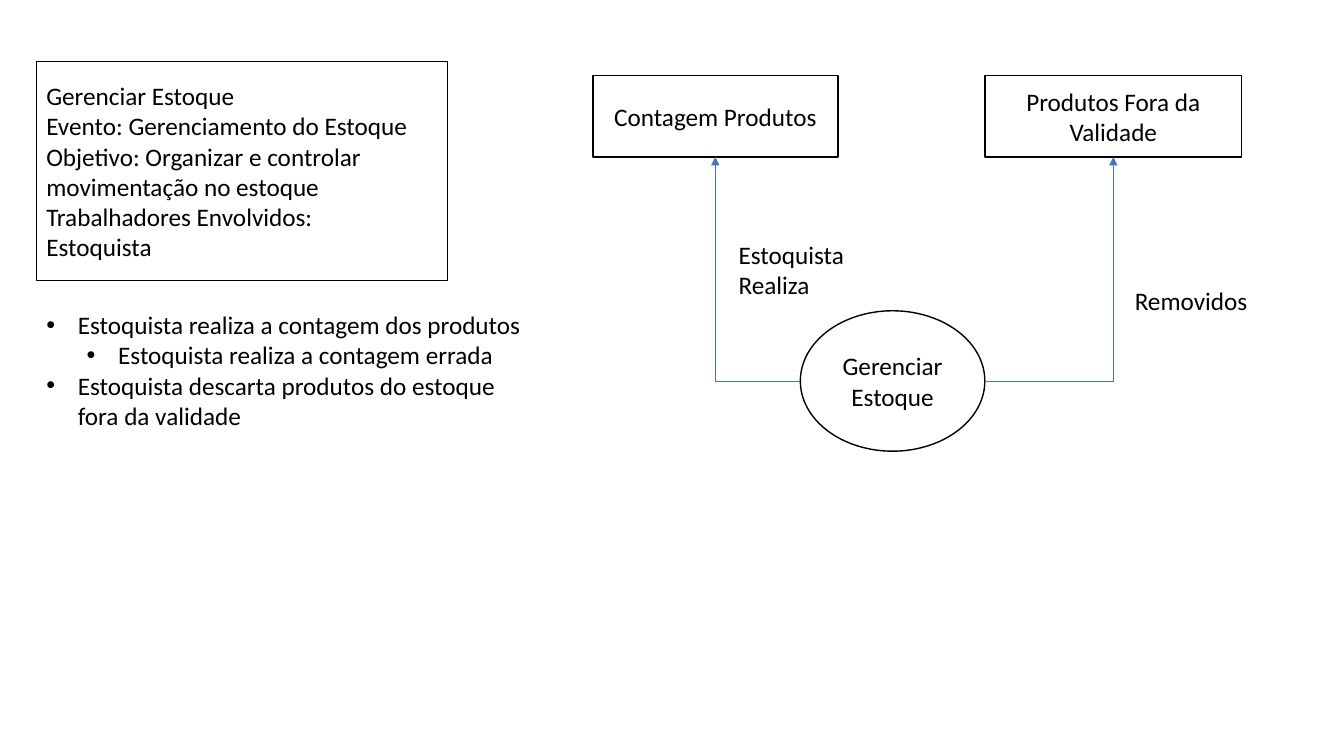
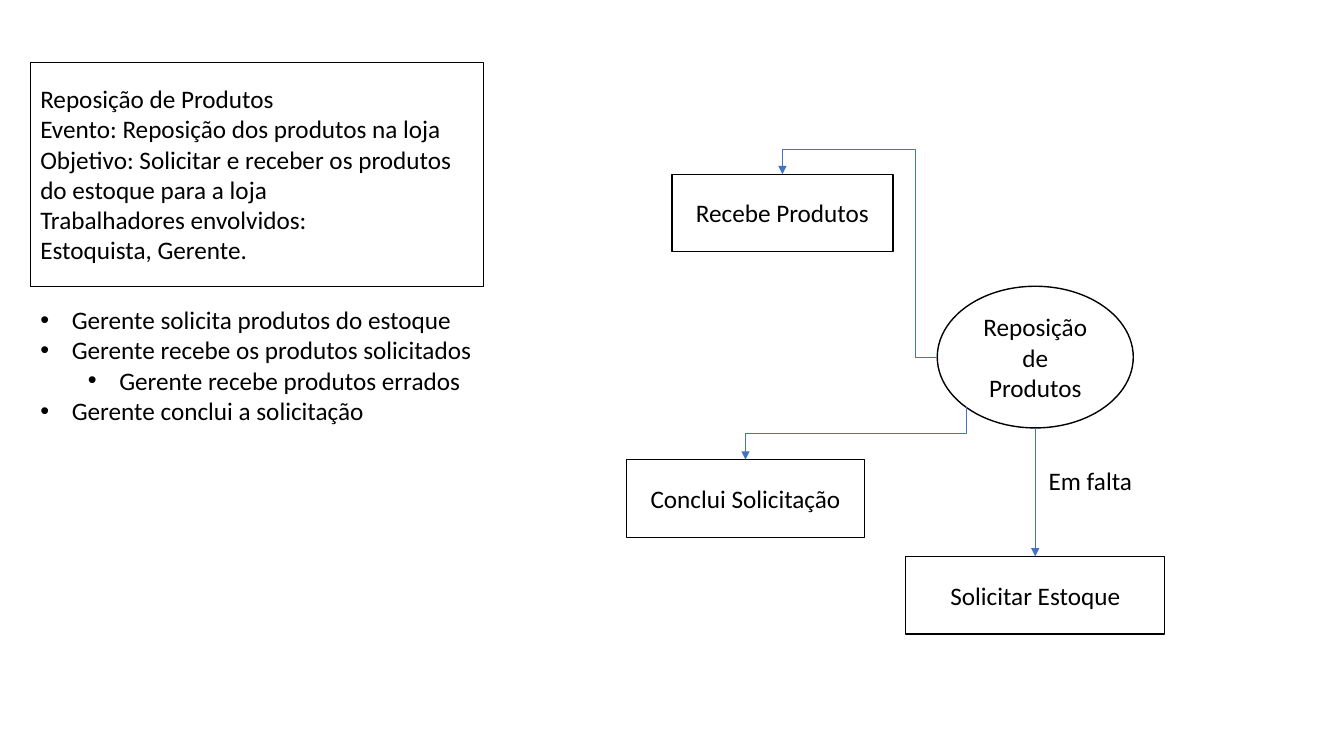
from dataclasses import dataclass
from math import sqrt

from pptx import Presentation
from pptx.dml.color import RGBColor
from pptx.enum.shapes import MSO_CONNECTOR as Link, MSO_SHAPE as Preset
from pptx.enum.text import MSO_ANCHOR as Anchor, PP_ALIGN as Align
from pptx.oxml.ns import qn
from pptx.oxml.xmlchemy import OxmlElement
from pptx.util import Pt


@dataclass(frozen=True)
class Theme:
    ink: RGBColor = RGBColor(0, 0, 0)
    paper: RGBColor = RGBColor(255, 255, 255)
    arrow: RGBColor = RGBColor(0x44, 0x72, 0xC4)
    font: str = "Calibri"
    size: float = 18
    outline: float = 1
    arrow_width: float = 0.5
    bullet_indent: float = 22.5


THEME = Theme()

# Frames are (left, top, width, height) in points.
# Steps are (text, is an exception); arrows are (target, route).
SLIDES = [
    {
        "summary": ((26, 44, 293.5, 156.5), [
            "Gerenciar Estoque",
            "Evento: Gerenciamento do Estoque",
            "Objetivo: Organizar e controlar movimentação no estoque",
            "Trabalhadores Envolvidos:",
            "Estoquista",
        ]),
        "steps": ((26, 217.5, 362, 94), [
            ("Estoquista realiza a contagem dos produtos", False),
            ("Estoquista realiza a contagem errada", True),
            ("Estoquista descarta produtos do estoque fora da validade", False),
        ]),
        "process": ((571.7, 222, 131.8, 100.3), "Gerenciar Estoque"),
        "results": {
            "Contagem Produtos": (423.5, 54, 175, 58.2),
            "Produtos Fora da Validade": (703.5, 54, 183.5, 58.2),
        },
        "arrows": [
            ("Contagem Produtos", "left up"),
            ("Produtos Fora da Validade", "right up"),
        ],
        "labels": [
            ((520.5, 167.2, 90.7, 51), ["Estoquista", "Realiza"]),
            ((803.5, 200.5, 95.8, 29), ["Removidos"]),
        ],
    },
    {
        "summary": ((21.7, 44.5, 323.5, 160), [
            "Reposição de Produtos",
            "Evento: Reposição dos produtos na loja",
            "Objetivo: Solicitar e receber os produtos do estoque para a loja",
            "Trabalhadores envolvidos:",
            "Estoquista, Gerente.",
        ]),
        "steps": ((21.7, 214, 348, 94), [
            ("Gerente solicita produtos do estoque", False),
            ("Gerente recebe os produtos solicitados", False),
            ("Gerente recebe produtos errados", True),
            ("Gerente conclui a solicitação", False),
        ]),
        "process": ((669.5, 204.5, 140, 101.2), "Reposição de Produtos"),
        "results": {
            "Solicitar Estoque": (647, 397.5, 185, 55.3),
            "Recebe Produtos": (480, 124.5, 157.8, 55),
            "Conclui Solicitação": (447.5, 328.3, 170, 55.7),
        },
        "arrows": [
            ("Solicitar Estoque", "down"),
            ("Recebe Produtos", "over"),
            ("Conclui Solicitação", "corner"),
        ],
        "labels": [((742, 328.5, 75, 29), ["Em falta"])],
    },
]


def points(values):
    return [Pt(value) for value in values]


def apply(target, values):
    for name, value in values.items():
        setattr(target, name, value)


def add_xml(parent, tag, **attributes):
    child = OxmlElement(tag)
    for name, value in attributes.items():
        child.set(name, str(value))
    parent.append(child)
    return child


def write(shape, lines, align=Align.LEFT, anchor=Anchor.TOP, wrap=True):
    frame = shape.text_frame
    apply(frame, {"word_wrap": wrap, "vertical_anchor": anchor})
    frame.text = "\n".join(lines)
    for para in frame.paragraphs:
        para.alignment = align
        for span in para.runs:
            apply(span.font, {"name": THEME.font, "size": Pt(THEME.size)})
            span.font.color.rgb = THEME.ink


def add_box(page, frame, lines, preset=Preset.RECTANGLE, align=Align.CENTER):
    box = page.shapes.add_shape(preset, *points(frame))
    box.shadow.inherit = False
    box.fill.solid()
    box.fill.fore_color.rgb = THEME.paper
    box.line.color.rgb = THEME.ink
    box.line.width = Pt(THEME.outline)
    write(box, lines, align, Anchor.MIDDLE)
    return box


def add_steps(page, frame, steps):
    box = page.shapes.add_textbox(*points(frame))
    write(box, [text for text, _ in steps])
    indent = Pt(THEME.bullet_indent)
    for para, (_, is_exception) in zip(box.text_frame.paragraphs, steps):
        if is_exception:
            para.alignment = Align.CENTER
        props = para._p.get_or_add_pPr()
        props.set("marL", str(indent))
        props.set("indent", str(-indent))
        add_xml(props, "a:buFont", typeface="Arial")
        add_xml(props, "a:buChar", char="•")


def set_bends(link, preset, adjusts=()):
    geometry = link._element.spPr.find(qn("a:prstGeom"))
    geometry.set("prst", preset)
    guides = geometry.find(qn("a:avLst"))
    for number, value in enumerate(adjusts, 1):
        add_xml(guides, "a:gd", name=f"adj{number}", fmla=f"val {value}")


def add_arrow(page, process, target, target_box, route):
    """Lead an arrow from the process ellipse to a result box."""
    left, top, width, height = process
    mid_x, mid_y = left + width / 2, top + height / 2
    end_x = target[0] + target[2] / 2
    end_y = target[1] + (target[3] if route.endswith("up") else 0)
    begin = {
        "left up": (left, mid_y),
        "right up": (left + width, mid_y),
        "over": (left, mid_y),
        "down": (mid_x, top + height),
        "corner": (mid_x - width / sqrt(8), mid_y + height / sqrt(8)),
    }[route]
    end = (end_x, end_y)
    if route == "corner":
        # A quarter turn makes the elbow leave downwards.
        center_x, center_y = (begin[0] + end_x) / 2, (begin[1] + end_y) / 2
        half_x, half_y = (end_y - begin[1]) / 2, (begin[0] - end_x) / 2
        begin = (center_x - half_x, center_y - half_y)
        end = (center_x + half_x, center_y + half_y)

    kind = Link.STRAIGHT if route == "down" else Link.ELBOW
    link = page.shapes.add_connector(kind, *points(begin + end))
    if route == "down":
        link.end_connect(target_box, 0)
    elif route == "corner":
        link._element.spPr.find(qn("a:xfrm")).set("rot", str(90 * 60000))
    elif route == "over":
        set_bends(link, "bentConnector4", (14400, 113800))
    else:
        set_bends(link, "bentConnector2")

    link.line.color.rgb = THEME.arrow
    link.line.width = Pt(THEME.arrow_width)
    props = link._element.spPr
    add_xml(props.find(qn("a:ln")), "a:tailEnd", type="triangle")
    add_xml(props, "a:effectLst")


def build_slide(deck, content):
    page = deck.slides.add_slide(deck.slide_layouts[6])
    process, name = content["process"]
    add_box(page, process, [name], Preset.OVAL)
    results = content["results"]
    boxes = {text: add_box(page, frame, [text]) for text, frame in results.items()}
    for target, route in content["arrows"]:
        add_arrow(page, process, results[target], boxes[target], route)
    for frame, lines in content["labels"]:
        write(page.shapes.add_textbox(*points(frame)), lines, wrap=False)
    add_box(page, *content["summary"], align=Align.LEFT)
    add_steps(page, *content["steps"])


def main():
    deck = Presentation()
    apply(deck, {"slide_width": Pt(960), "slide_height": Pt(540)})
    for content in SLIDES:
        build_slide(deck, content)
    deck.save("out.pptx")


if __name__ == "__main__":
    main()
